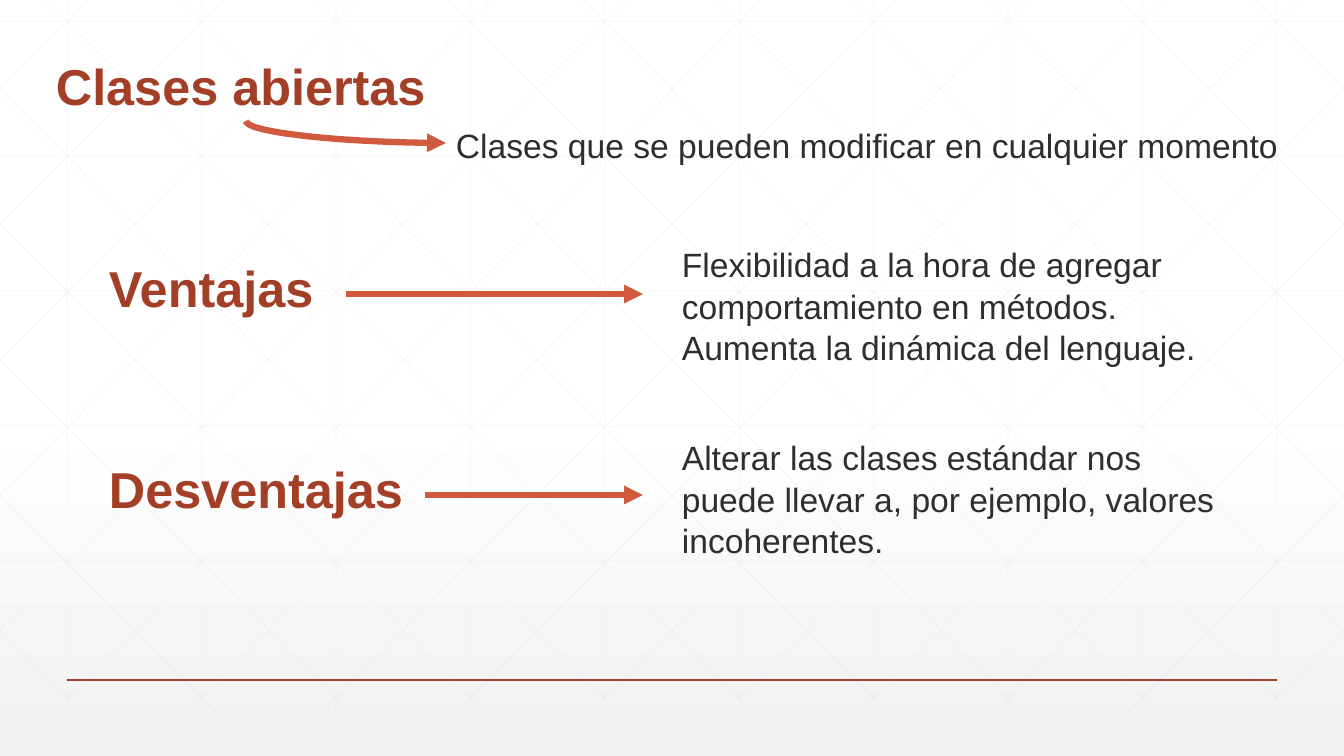
import pptx
import pptx.dml.color
import pptx.enum.shapes
import pptx.enum.text
import pptx.oxml
import pptx.oxml.ns
import pptx.util
from dataclasses import dataclass

EMU_PER_PIXEL = 914400 / 100.8
WIDTH, HEIGHT = 1344, 756


@dataclass(frozen=True)
class Theme:
    font: str = "Arial"
    heading: str = "A43F27"
    body: str = "2D2E2D"
    arrow: str = "D15A3E"
    grid: str = "D9D9D9"
    background_top: str = "FFFFFF"
    background_bottom: str = "F2F2F2"
    heading_size: int = 36
    body_size: int = 24
    arrow_width: float = 4.5
    rule_width: float = 1
    grid_width: float = 0.5
    grid_opacity: int = 25


def emu(pixels):
    return pptx.util.Emu(round(pixels * EMU_PER_PIXEL))


def color(value):
    return pptx.dml.color.RGBColor.from_string(value)


class SlideBuilder:
    def __init__(self, slide, theme):
        self.slide = slide
        self.theme = theme

    def background(self):
        fill = self.slide.background.fill
        fill.gradient()
        fill.gradient_angle = 270
        values = (self.theme.background_top, self.theme.background_bottom)
        for stop, value, position in zip(fill.gradient_stops, values, (0.53, 1)):
            stop.color.rgb = color(value)
            stop.position = position

    def line(self, start, end, value, width, kind="STRAIGHT"):
        connector = self.slide.shapes.add_connector(
            pptx.enum.shapes.MSO_CONNECTOR[kind], *map(emu, (*start, *end)))
        connector.line.color.rgb = color(value)
        connector.line.width = pptx.util.Pt(width)
        self.child(connector.element.spPr, "a:effectLst")
        return connector

    def child(self, parent, tag, **attributes):
        element = pptx.oxml.parse_xml(f"<{tag} {pptx.oxml.ns.nsdecls('a')}/>")
        for name, value in attributes.items():
            element.set(name, value)
        parent.append(element)

    def grid_line(self, start, end):
        connector = self.line(start, end, self.theme.grid, self.theme.grid_width)
        fill = connector.element.spPr.find(".//" + pptx.oxml.ns.qn("a:srgbClr"))
        self.child(fill, "a:alpha", val=str(self.theme.grid_opacity * 1000))

    def arrow(self, start, end, kind="STRAIGHT"):
        connector = self.line(start, end, self.theme.arrow, self.theme.arrow_width, kind)
        outline = connector.element.spPr.find(pptx.oxml.ns.qn("a:ln"))
        self.child(outline, "a:tailEnd", type="triangle")
        return connector

    def curved_arrow(self, start, end):
        across, down = end[0] - start[0], end[1] - start[1]
        middle_x, middle_y = start[0] + across // 2, start[1] + down // 2
        left, top = middle_x - down // 2, middle_y - across // 2
        connector = self.arrow((left + down, top), (left, top + across), "CURVE")
        properties = connector.element.spPr
        properties.find(pptx.oxml.ns.qn("a:xfrm")).set("rot", str(270 * 60000))
        properties.find(pptx.oxml.ns.qn("a:prstGeom")).set("prst", "curvedConnector2")

    def text(self, box, paragraphs, size, value, bold, spacing, anchor):
        frame = self.slide.shapes.add_textbox(*map(emu, box)).text_frame
        frame.word_wrap = True
        frame.vertical_anchor = pptx.enum.text.MSO_ANCHOR[anchor]
        for index, content in enumerate(paragraphs):
            paragraph = frame.add_paragraph() if index else frame.paragraphs[0]
            paragraph.line_spacing = spacing
            run = paragraph.add_run()
            run.text = content
            run.font.name = self.theme.font
            run.font.size = pptx.util.Pt(size)
            run.font.bold = bold
            run.font.color.rgb = color(value)

    def heading(self, box, content):
        self.text(box, [content], self.theme.heading_size, self.theme.heading,
                  True, 0.9, "BOTTOM")

    def body(self, box, *paragraphs):
        self.text(box, paragraphs, self.theme.body_size, self.theme.body,
                  False, 1.04, "TOP")

    def background_grid(self):
        top, bottom, step = -21, 735, 134.4
        slope = 751 / (bottom - top)
        for column in range(10):
            x = round(67.2 + column * step)
            self.grid_line((x, 0), (x, bottom))
        for row in range(6):
            y = 21 + row * 135
            self.grid_line((0, y), (WIDTH, y))
        for diagonal in range(-5, 10):
            origin = 25 + diagonal * step
            first = max(0, top - origin / slope)
            last = min(bottom, top + (WIDTH - origin) / slope)
            ends = [(round(origin + (y - top) * slope), round(y)) for y in (first, last)]
            self.grid_line(*ends)
            self.grid_line(*[(WIDTH - x, y) for x, y in ends])


presentation = pptx.Presentation()
presentation.slide_width, presentation.slide_height = emu(WIDTH), emu(HEIGHT)
theme = Theme()
builder = SlideBuilder(presentation.slides.add_slide(presentation.slide_layouts[6]), theme)

builder.background()
builder.background_grid()
builder.line((67, 680), (1277, 680), theme.heading, theme.rule_width)

builder.heading((46, 39, 399, 82), "Clases abiertas")
builder.body((446, 118, 852, 50), "Clases que se pueden modificar en cualquier momento")
builder.curved_arrow((246, 121), (446, 143))

topics = [
    ("Ventajas", 241, 247, 237, 173,
     ["Flexibilidad a la hora de agregar comportamiento en métodos.",
      "Aumenta la dinámica del lenguaje."]),
    ("Desventajas", 442, 326, 430, 132,
     ["Alterar las clases estándar nos puede llevar a, por ejemplo, valores incoherentes."]),
]
for title, title_top, title_width, body_top, body_height, paragraphs in topics:
    builder.heading((99, title_top, title_width, 82), title)
    arrow_y = title_top + 53
    builder.arrow((99 + title_width, arrow_y), (643, arrow_y))
    builder.body((672, body_top, 558, body_height), *paragraphs)

presentation.save("out.pptx")
